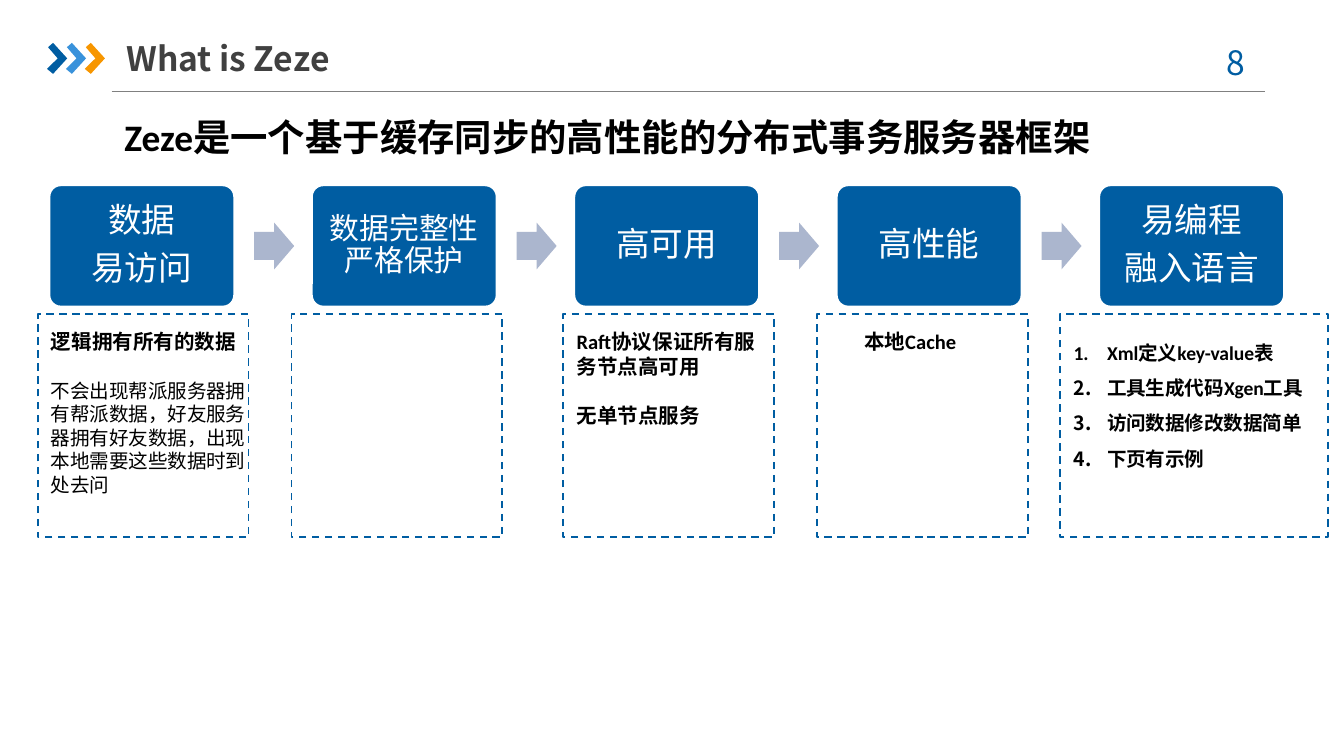
import pptx
import pptx.dml.color
import pptx.enum.dml
import pptx.enum.shapes
import pptx.enum.text
import pptx.oxml
import pptx.oxml.ns
import pptx.util

Pt = pptx.util.Pt
RGB = pptx.dml.color.RGBColor
SHAPE = pptx.enum.shapes.MSO_SHAPE
ALIGN = pptx.enum.text.PP_ALIGN
ANCHOR = pptx.enum.text.MSO_ANCHOR

BLUE = RGB(0x00, 0x5D, 0xA2)
SKY = RGB(0x39, 0x92, 0xDB)
ORANGE = RGB(0xF7, 0x96, 0x00)
ARROW = RGB(0xAB, 0xB6, 0xCE)
GRAY = RGB(0x80, 0x80, 0x80)
DARK = RGB(0x40, 0x40, 0x40)
BLACK = RGB(0, 0, 0)
WHITE = RGB(0xFF, 0xFF, 0xFF)
BODY = "Calibri"
HEAD = "Noto Sans CJK SC"

CARDS = [
    (["数据", "易访问"], 18),
    (["数据完整性严格保护"], 16),
    (["高可用"], 18),
    (["高性能"], 18),
    (["易编程", "融入语言"], 18),
]
PANELS = [
    (20.2, 113, 0, [("逻辑拥有所有的数据", 11, True),
                    ("不会出现帮派服务器拥有帮派数据，好友服务器拥有好友数据，"
                     "出现本地需要这些数据时到处去问", 10.5, False)]),
    (156.2, 113, 0, []),
    (301.8, 113, 0, [("Raft协议保证所有服务节点高可用", 11, True),
                     ("无单节点服务", 11, True)]),
    (437.8, 113, 18, [("本地Cache", 11, True)]),
]
STEPS = ["Xml定义key-value表", "工具生成代码Xgen工具", "访问数据修改数据简单", "下页有示例"]


def add_run(p, text, size, color, bold=False, font=BODY):
    r = p.add_run()
    r.text = text
    r.font.size = Pt(size)
    r.font.name = font
    r.font.bold = bold
    r.font.color.rgb = color


def next_paragraph(tf, index):
    return tf.add_paragraph() if index else tf.paragraphs[0]


def add_text_box(s, x, y, w, h):
    tf = s.shapes.add_textbox(Pt(x), Pt(y), Pt(w), Pt(h)).text_frame
    tf.word_wrap = True
    return tf


def add_filled(s, kind, x, y, w, h, color):
    sp = s.shapes.add_shape(kind, Pt(x), Pt(y), Pt(w), Pt(h))
    sp.shadow.inherit = False
    sp.fill.solid()
    sp.fill.fore_color.rgb = color
    sp.line.fill.background()
    return sp


def add_chevron(s, x, y, w, h, color):
    points = [(0.05, 0.14), (0.3, 0), (1, 0.5), (0.3, 1), (0, 0.84), (0.53, 0.5)]
    corners = [(Pt(x + w * u), Pt(y + h * v)) for u, v in points]
    fb = s.shapes.build_freeform(*corners[0])
    fb.add_line_segments(corners[1:], close=True)
    sp = fb.convert_to_shape()
    sp.shadow.inherit = False
    sp.fill.solid()
    sp.fill.fore_color.rgb = color
    sp.line.fill.background()


def add_header(s, x, y, w, h):
    rule = s.shapes.add_connector(pptx.enum.shapes.MSO_CONNECTOR.STRAIGHT,
                                  Pt(x + 34.6), Pt(y + h), Pt(x + w), Pt(y + h))
    rule.line.color.rgb = GRAY
    rule.line.width = Pt(0.75)
    rule._element.spPr.append(pptx.oxml.parse_xml(
        "<a:effectLst %s/>" % pptx.oxml.ns.nsdecls("a")))
    for i, color in enumerate((BLUE, SKY, ORANGE)):
        add_chevron(s, x + 10.1 * i, y + 7.2, 10.8, 16.6, color)

    title = s.shapes.title
    title.left, title.top = Pt(x + 42.5), Pt(y)
    title.width, title.height = Pt(168), Pt(30.2)
    tf = title.text_frame
    tf.margin_left = tf.margin_right = 0
    tf.vertical_anchor = ANCHOR.MIDDLE
    p = tf.paragraphs[0]
    p.alignment = ALIGN.LEFT
    add_run(p, "What is Zeze", 18, DARK, True, HEAD)

    p = add_text_box(s, x + w - 42, y + 2.9, 52.6, 28.8).paragraphs[0]
    p.alignment = ALIGN.CENTER
    add_run(p, "8", 18, BLUE, font=HEAD)


def add_card(s, x, y, w, h, lines, size):
    sp = add_filled(s, SHAPE.ROUNDED_RECTANGLE, x, y, w, h, BLUE)
    sp.adjustments[0] = 0.1
    sp.line.color.rgb = WHITE
    sp.line.width = Pt(2)
    tf = sp.text_frame
    tf.word_wrap = True
    tf.vertical_anchor = ANCHOR.MIDDLE
    tf.margin_left = tf.margin_right = tf.margin_top = tf.margin_bottom = Pt(5)
    for i, line in enumerate(lines):
        p = next_paragraph(tf, i)
        p.alignment = ALIGN.CENTER
        p.line_spacing = 0.9
        p.space_after = Pt(size * 0.35)
        add_run(p, line, size, WHITE)


def add_process(s, x, y, w, h):
    card_w = 100
    step = (w - card_w) / (len(CARDS) - 1)
    for i, (lines, size) in enumerate(CARDS):
        left = x + i * step
        add_card(s, left, y, card_w, h, lines, size)
        if i < len(CARDS) - 1:
            sp = add_filled(s, SHAPE.RIGHT_ARROW, left + 110.2, y + h / 2 - 12.5, 21.4, 25, ARROW)
            sp.adjustments[0] = 0.6


def add_frame(s, x, y, w, h):
    sp = s.shapes.add_shape(SHAPE.RECTANGLE, Pt(x), Pt(y), Pt(w), Pt(h))
    sp.shadow.inherit = False
    sp.fill.background()
    sp.line.color.rgb = BLUE
    sp.line.width = Pt(1)
    sp.line.dash_style = pptx.enum.dml.MSO_LINE.DASH


def add_panel(s, x, y, w, h, indent, paragraphs):
    add_frame(s, x, y, w, h)
    if not paragraphs:
        return
    tf = add_text_box(s, x + indent, y + 4.4, w + 6, h - 20)
    for i, (text, size, bold) in enumerate(paragraphs):
        p = next_paragraph(tf, i)
        if i:
            p.space_before = Pt(13.4)
        add_run(p, text, size, BLACK, bold)


def add_numbered_panel(s, x, y, w, h, items):
    add_frame(s, x, y, w, h)
    tf = add_text_box(s, x, y + 4.4, w, 81)
    for i, item in enumerate(items):
        p = next_paragraph(tf, i)
        p.line_spacing = 1.5
        pPr = p._p.get_or_add_pPr()
        pPr.set("marL", str(Pt(18)))
        pPr.set("indent", str(Pt(-18)))
        pPr.append(pptx.oxml.parse_xml(
            '<a:buAutoNum %s type="arabicPeriod"/>' % pptx.oxml.ns.nsdecls("a")))
        add_run(p, item, 10.5, BLACK, True)


def main():
    prs = pptx.Presentation()
    prs.slide_width, prs.slide_height = Pt(720), Pt(405)
    s = prs.slides.add_slide(prs.slide_layouts[5])
    add_header(s, 25.2, 15.8, 652.4, 33.2)
    p = add_text_box(s, 59.5, 57.6, 538.6, 31.7).paragraphs[0]
    add_run(p, "Zeze是一个基于缓存同步的高性能的分布式事务服务器框架", 20, BLACK, True)
    add_process(s, 26, 98.8, 662.4, 66)
    for x, w, indent, paragraphs in PANELS:
        add_panel(s, x, 168.4, w, 119.5, indent, paragraphs)
    add_numbered_panel(s, 568, 168.4, 143.4, 119.5, STEPS)
    prs.save("out.pptx")


if __name__ == "__main__":
    main()
